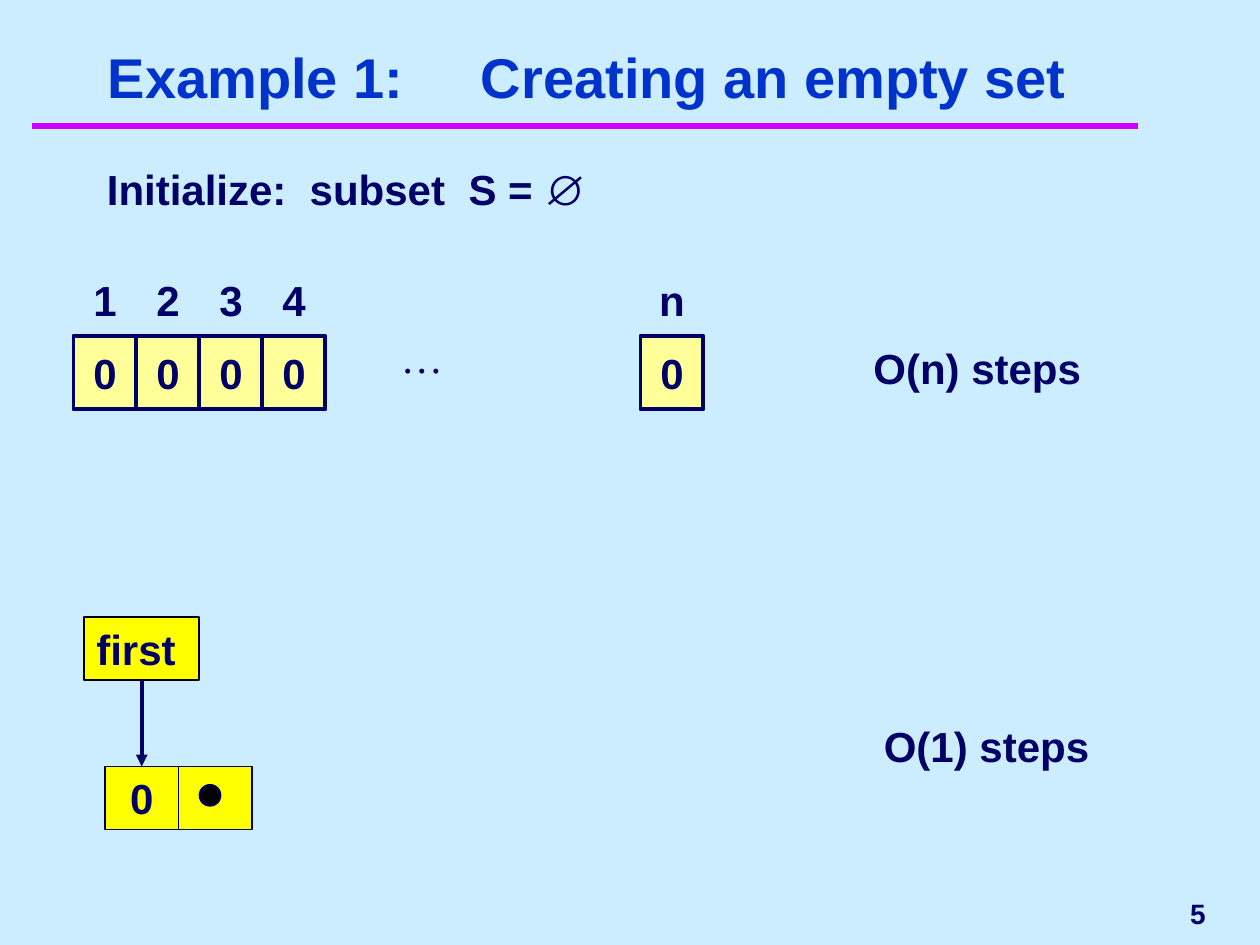
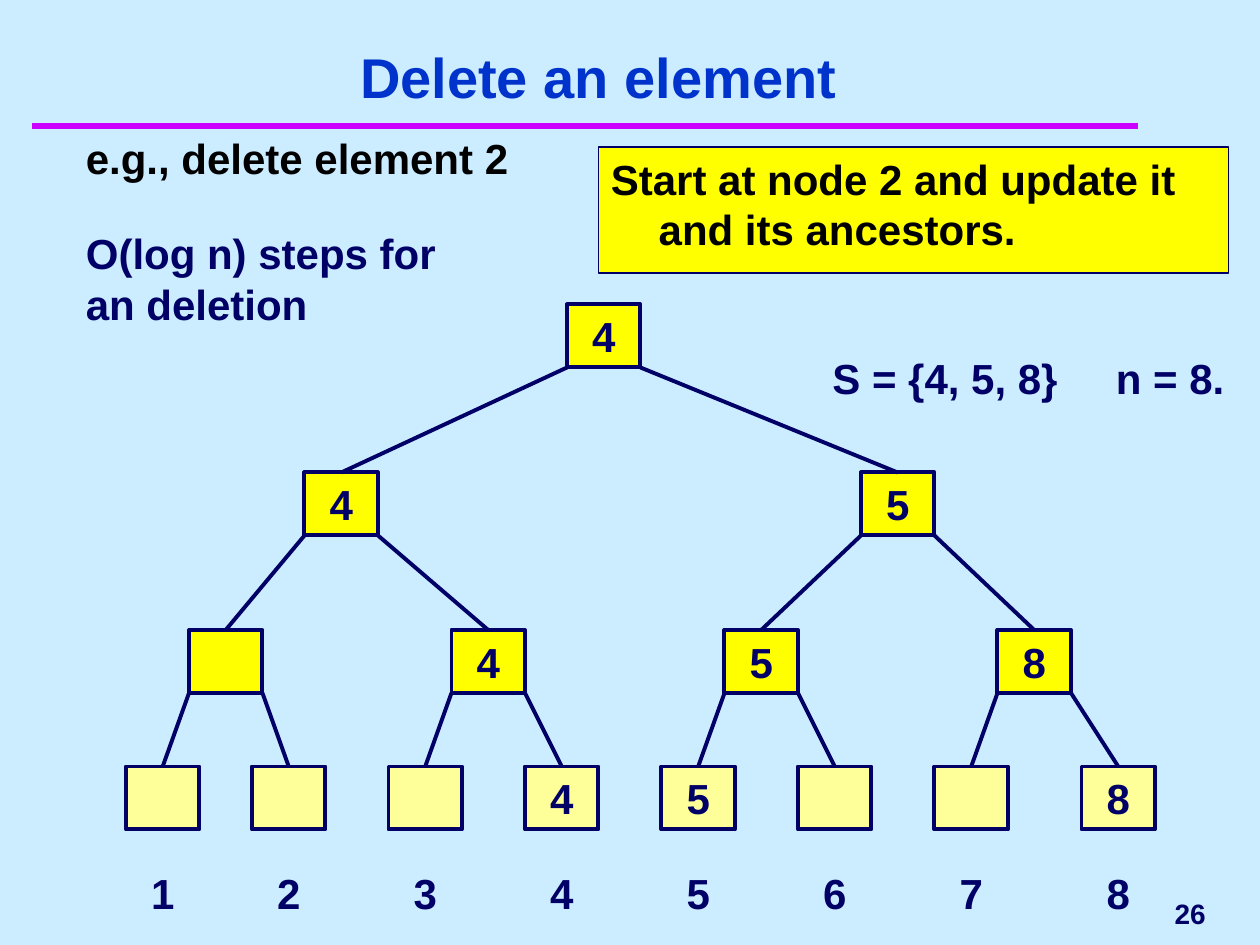
import pptx
import pptx.dml.color
import pptx.enum.dml
import pptx.enum.shapes
import pptx.enum.text
import pptx.oxml.ns
import pptx.util
from lxml import etree

RGBColor = pptx.dml.color.RGBColor
PALE_BLUE = RGBColor(0xCC, 0xEC, 0xFF)
TITLE_BLUE = RGBColor(0x00, 0x33, 0xCC)
MAGENTA = RGBColor(0xCC, 0x00, 0xFF)
NAVY = RGBColor(0x00, 0x00, 0x66)
YELLOW = RGBColor(0xFF, 0xFF, 0x00)
CREAM = RGBColor(0xFF, 0xFF, 0x99)
BLACK = RGBColor(0x00, 0x00, 0x00)

LEFT, CENTER, RIGHT = (pptx.enum.text.PP_ALIGN.LEFT, pptx.enum.text.PP_ALIGN.CENTER,
                       pptx.enum.text.PP_ALIGN.RIGHT)
TOP, MIDDLE, BOTTOM = (pptx.enum.text.MSO_ANCHOR.TOP, pptx.enum.text.MSO_ANCHOR.MIDDLE,
                       pptx.enum.text.MSO_ANCHOR.BOTTOM)
RECT = pptx.enum.shapes.MSO_SHAPE.RECTANGLE
OVAL = pptx.enum.shapes.MSO_SHAPE.OVAL

WIDTH, HEIGHT = pptx.util.Inches(10), pptx.util.Inches(7.5)
UNIT = WIDTH / 120  # the grid has 120 columns and 90 rows
NODE_W, NODE_H = 7, 6
CELL_W, CELL_H = 6, 7


def grid(*lengths):
    return [round(n * UNIT) for n in lengths]


def write(sp, text, size=24, color=NAVY, align=LEFT, anchor=TOP, wrap=True,
          font="Arial", bold=True, tabs=(), hanging=0):
    """Fill a shape with one paragraph; tabs and hanging are in inches."""
    tf = sp.text_frame
    tf.word_wrap = wrap
    tf.vertical_anchor = anchor
    p = tf.paragraphs[0]
    p.alignment = align
    pPr = p._p.get_or_add_pPr()
    if hanging:
        indent = pptx.util.Inches(hanging)
        pPr.set("marL", str(indent))
        pPr.set("indent", str(-indent))
    if tabs:
        tab_list = etree.SubElement(pPr, pptx.oxml.ns.qn("a:tabLst"))
        for stop in tabs:
            etree.SubElement(tab_list, pptx.oxml.ns.qn("a:tab"),
                             pos=str(pptx.util.Inches(stop)), algn="l")
    r = p.add_run()
    r.text = text
    r.font.name = font
    r.font.size = pptx.util.Pt(size)
    r.font.bold = bold
    r.font.color.rgb = color


def add_text(s, place, text, **style):
    sp = s.shapes.add_textbox(*grid(*place))
    write(sp, text, **style)
    return sp


def add_box(s, place, fill=YELLOW, line=NAVY, weight=1.0, kind=RECT):
    sp = s.shapes.add_shape(kind, *grid(*place))
    sp.shadow.inherit = False
    sp.fill.solid()
    sp.fill.fore_color.rgb = fill
    sp.line.color.rgb = line
    sp.line.width = pptx.util.Pt(weight)
    return sp


def add_label(s, place, text):
    add_text(s, place, text, align=CENTER, anchor=MIDDLE, wrap=False)


def add_node(s, place, value="", **look):
    sp = add_box(s, place, **look)
    if value:
        write(sp, value, align=CENTER, anchor=MIDDLE, wrap=False)
    return sp


def add_line(s, start, end, color=NAVY, weight=2.25):
    line = s.shapes.add_connector(pptx.enum.shapes.MSO_CONNECTOR.STRAIGHT, *start, *end)
    line.line.color.rgb = color
    line.line.width = pptx.util.Pt(weight)
    etree.SubElement(line._element.spPr, pptx.oxml.ns.qn("a:effectLst"))
    return line


def add_slide(prs, title, number, title_place, **title_style):
    s = prs.slides.add_slide(prs.slide_layouts[6])
    add_line(s, grid(3, 12), grid(108.4, 12), MAGENTA, 4)
    add_text(s, title_place, title, size=32, color=TITLE_BLUE, anchor=BOTTOM, **title_style)
    add_text(s, (93, 84, 23, 6), number, size=16, align=RIGHT, anchor=MIDDLE)
    return s


def add_bit_array(s):
    for col, index in zip((7, 13, 19, 25, 61), "1234n"):
        add_node(s, (col, 32, CELL_W, CELL_H), "0", fill=CREAM, weight=2.25)
        add_label(s, (col, 25, CELL_W, CELL_H), index)
    add_text(s, (37, 31, 14, 6), "…", font="Times New Roman", bold=False)


def add_linked_list(s):
    count = add_node(s, (10, 73, NODE_W, NODE_H), "0")
    add_node(s, (10 + NODE_W, 73, NODE_W, NODE_H))
    add_box(s, (19, 74.75, 2, 2), fill=BLACK, kind=OVAL)
    first = add_box(s, (8, 58.8, 11, NODE_H), line=BLACK)
    write(first, "first")
    arrow = add_line(s, (0, 0), (0, 0))
    arrow.begin_connect(first, 2)
    arrow.end_connect(count, 0)
    ln = arrow.line._get_or_add_ln()
    etree.SubElement(ln, pptx.oxml.ns.qn("a:tailEnd"), type="triangle")


def add_tree(s):
    """Each level holds its row, the left columns of its nodes and their values."""
    levels = [
        (29, (54,), ("4",)),
        (45, (29, 82), ("4", "5")),
        (60, (18, 43, 69, 95), ("", "4", "5", "8")),
        (73, (12, 24, 37, 50, 63, 76, 89, 103), ("", "", "", "4", "5", "", "", "8")),
    ]
    parents = []
    for row, cols, values in levels:
        is_leaf = row == levels[-1][0]
        nodes = [add_node(s, (col, row, NODE_W, NODE_H), value,
                          fill=CREAM if is_leaf else YELLOW, weight=2.25)
                 for col, value in zip(cols, values)]
        for i, node in enumerate(nodes if parents else []):
            parent = parents[i // 2]
            corner = (parent.left + i % 2 * parent.width, parent.top + parent.height)
            add_line(s, corner, corner).end_connect(node, 0)
        parents = nodes
    for number, col in enumerate(levels[-1][1], 1):
        add_label(s, (col, 82, NODE_W, NODE_H), str(number))


def build_empty_set(prs):
    s = add_slide(prs, "Example 1:\tCreating an empty set", "5", (9.1, 2, 98, 9), tabs=[2.96])
    add_text(s, (9, 15, 57, 6), "Initialize:\tsubset\tS = ∅", tabs=[1.61, 2.87])
    add_bit_array(s)
    add_linked_list(s)
    add_text(s, (82, 32, 29, 6), "O(n) steps")
    add_text(s, (83, 68, 29, 6), "O(1) steps")


def build_deletion(prs):
    s = add_slide(prs, "Delete an element", "26", (6, 2, 102, 9), align=CENTER)
    add_text(s, (7, 12, 47, 8), "e.g., delete element 2", color=BLACK, hanging=0.38)
    add_text(s, (7, 22, 36, 9), "O(log n) steps for an deletion", anchor=MIDDLE)
    add_text(s, (78.1, 33, 41, 6), "S = {4, 5, 8}\tn = 8.", anchor=MIDDLE, tabs=[2.25])
    add_tree(s)
    advice = add_box(s, (57, 14, 60, 12), weight=0.75)
    write(advice, "Start at node 2 and update it and its ancestors.", color=BLACK, hanging=0.38)


def main():
    prs = pptx.Presentation()
    prs.slide_width, prs.slide_height = WIDTH, HEIGHT
    background = prs.slide_master.background.fill
    background.solid()
    background.fore_color.rgb = PALE_BLUE
    build_empty_set(prs)
    build_deletion(prs)
    prs.save("out.pptx")


if __name__ == "__main__":
    main()
